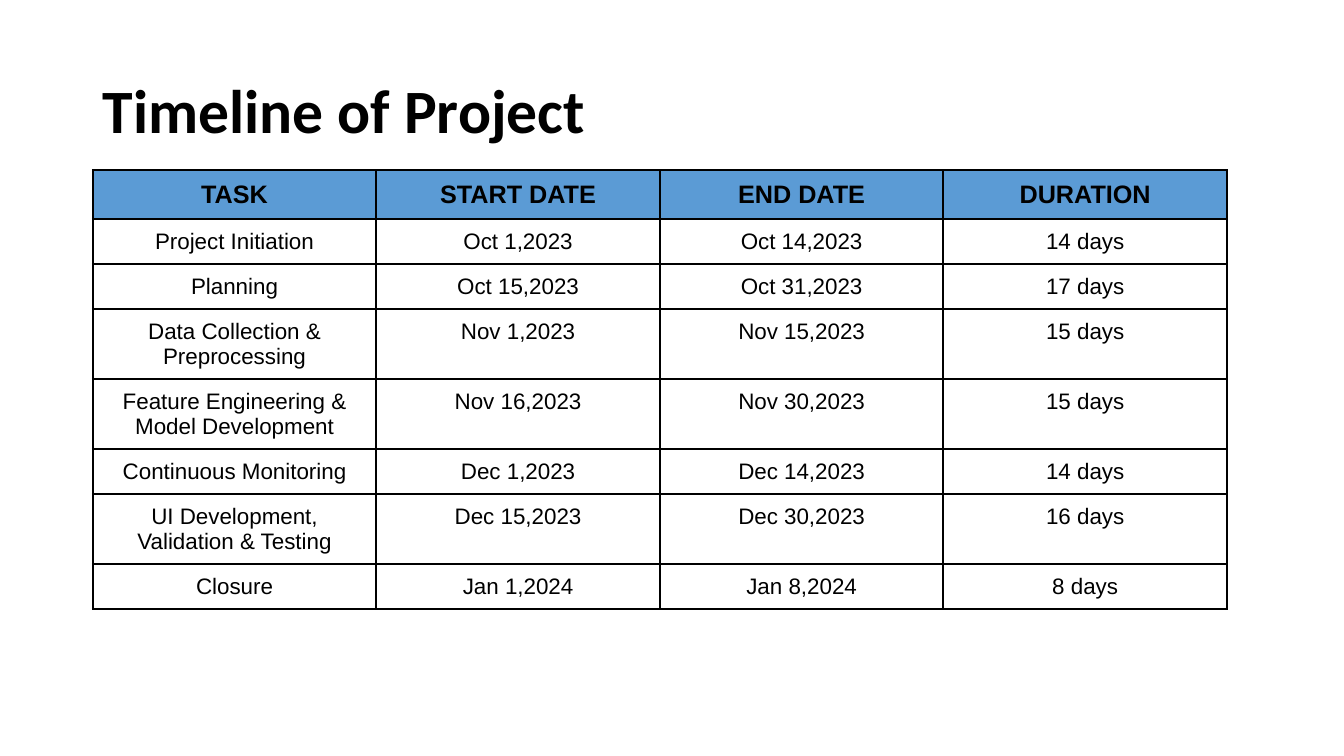
from pptx import Presentation
from pptx.dml.color import RGBColor
from pptx.enum.text import MSO_ANCHOR, PP_ALIGN
from pptx.oxml import parse_xml
from pptx.oxml.ns import nsdecls
from pptx.util import Inches, Pt

BLACK = "000000"
HEADER_BLUE = "5B9BD5"
TASKS = [
    ("TASK", "START DATE", "END DATE", "DURATION"),
    ("Project Initiation", "Oct 1,2023", "Oct 14,2023", "14 days"),
    ("Planning", "Oct 15,2023", "Oct 31,2023", "17 days"),
    ("Data Collection & Preprocessing", "Nov 1,2023", "Nov 15,2023", "15 days"),
    ("Feature Engineering & Model Development", "Nov 16,2023", "Nov 30,2023", "15 days"),
    ("Continuous Monitoring", "Dec 1,2023", "Dec 14,2023", "14 days"),
    ("UI Development, Validation & Testing", "Dec 15,2023", "Dec 30,2023", "16 days"),
    ("Closure", "Jan 1,2024", "Jan 8,2024", "8 days"),
]


def add_run(p, text, font, size, bold, color=BLACK):
    """Add a formatted run to a paragraph."""
    r = p.add_run()
    r.text = text
    r.font.name = font
    r.font.size = Pt(size)
    r.font.bold = bold
    r.font.color.rgb = RGBColor.from_string(color)


def add_borders(cell, color=BLACK, width=1.5):
    """Draw a solid line on all four sides of a cell."""
    tc_pr = cell._tc.get_or_add_tcPr()
    for side in ("lnL", "lnR", "lnT", "lnB"):
        tc_pr.append(parse_xml(
            f'<a:{side} {nsdecls("a")} w="{Pt(width)}"><a:solidFill>'
            f'<a:srgbClr val="{color}"/></a:solidFill></a:{side}>'))


prs = Presentation()
prs.slide_width, prs.slide_height = Inches(13.33), Inches(7.5)
s = prs.slides.add_slide(prs.slide_layouts[5])  # Title Only

# Title
title = s.shapes.title
title.left, title.top = Inches(0.92), Inches(0.4)
title.width, title.height = Inches(11.5), Inches(1.45)
tf = title.text_frame
tf.vertical_anchor = MSO_ANCHOR.MIDDLE
p = tf.paragraphs[0]
p.alignment = PP_ALIGN.LEFT
p.line_spacing = 0.9
add_run(p, "Timeline of Project", "Calibri", 44, True)

# Timeline table: rows grow to fit their text
row_height = Inches(0.42)
table = s.shapes.add_table(
    len(TASKS), len(TASKS[0]), Inches(0.92), Inches(1.69),
    Inches(11.25), row_height * len(TASKS)).table
table.horz_banding = False
for i, task in enumerate(TASKS):
    table.rows[i].height = row_height
    is_header = i == 0
    for j, text in enumerate(task):
        cell = table.cell(i, j)
        cell.margin_left = cell.margin_right = Inches(0.1)
        cell.margin_top = cell.margin_bottom = Inches(0.1)
        add_borders(cell)
        if is_header:
            cell.fill.solid()
            cell.fill.fore_color.rgb = RGBColor.from_string(HEADER_BLUE)
        else:
            cell.fill.background()
        p = cell.text_frame.paragraphs[0]
        p.alignment = PP_ALIGN.CENTER
        add_run(p, text, "Arial", 18 if is_header else 16, is_header)

prs.save("out.pptx")
